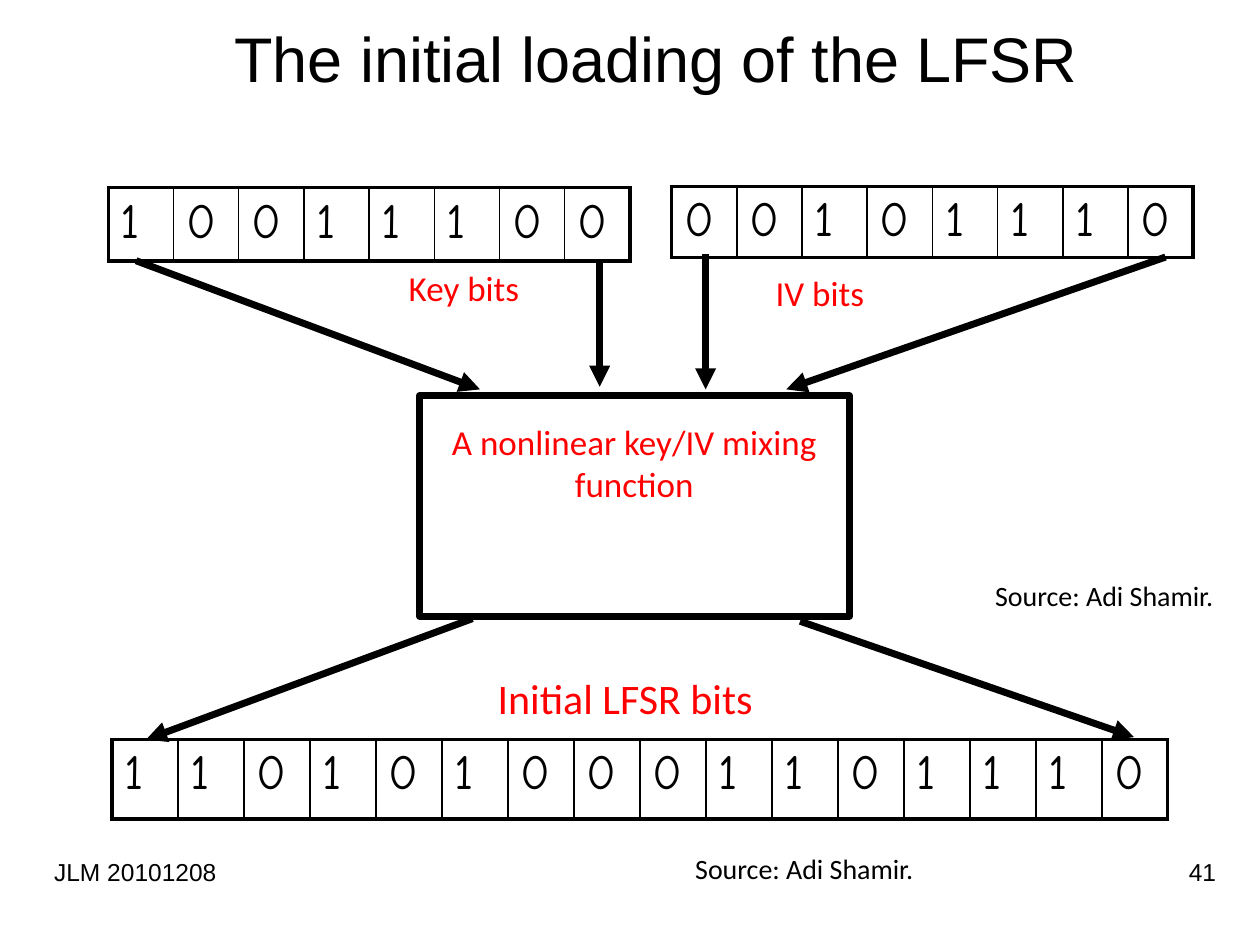
import pptx
import pptx.util
import pptx.dml.color
import pptx.enum.shapes
import pptx.enum.text
import pptx.oxml
import pptx.oxml.ns

Pt = pptx.util.Pt
ALIGN = pptx.enum.text.PP_ALIGN
ANCHOR = pptx.enum.text.MSO_ANCHOR
COLORS = {"ink": "000000", "label": "FF0000"}

TITLE = "The initial loading of the LFSR"
TITLE_BOX = (30, 0, 690, 66)
MIXER_BOX = (239.8, 226.1, 245.5, 126)

REGISTERS = [
    ("10011100", 61.9, 107.3, 298.1, 41.8),
    ("00101110", 383.8, 106.6, 298.1, 40.7),
    ("1101010001101110", 64.1, 422.6, 603.4, 45.4),
]

ARROWS = [
    ((77.8, 149), (274.3, 222.5)),
    ((342.7, 148.3), (342.7, 221)),
    ((403.2, 145.4), (403.2, 222.5)),
    ((666, 146.9), (449.3, 222.5)),
    ((270, 353.5), (83.5, 422.6)),
    ((457.2, 355), (648, 421.2)),
]

BIT_LABELS = [
    ("Key bits", (203.8, 119.5, 134.6, 65.5), 20),
    ("IV bits", (416.9, 122.4, 115.2, 65.5), 20),
    ("Initial LFSR bits", (245.5, 349.2, 235.4, 72.7), 24),
]
LABEL_INSET_RIGHT, LABEL_INSET_BOTTOM = 19, 9

MIXER_LABEL = ("A nonlinear key/IV mixing function", (248.4, 236.9, 228.2, 55.4))

SOURCE = "Source: Adi Shamir."
SOURCE_BOXES = [(561.6, 326.9, 140.4, 26.6), (390.2, 483.1, 140.4, 26.6)]

FOOTERS = [
    ("JLM 20101208", (23.8, 486, 149.8, 36), ALIGN.LEFT),
    ("41", (552.2, 486, 149.8, 36), ALIGN.RIGHT),
]


def rgb(name):
    return pptx.dml.color.RGBColor.from_string(COLORS[name])


def place(box):
    return [Pt(v) for v in box]


def style(p, text, font, size, color="ink", align=ALIGN.LEFT):
    p.text = text
    p.alignment = align
    p.font.name = font
    p.font.size = Pt(size)
    p.font.color.rgb = rgb(color)


def add_text(s, text, box, font, size, color="ink", align=ALIGN.LEFT, wrap=True):
    tf = s.shapes.add_textbox(*place(box)).text_frame
    tf.word_wrap = wrap
    style(tf.paragraphs[0], text, font, size, color, align)
    return tf


def set_borders(cell, widths):
    tc_pr = cell._tc.get_or_add_tcPr()
    for i, (side, width) in enumerate(widths.items()):
        ln = pptx.oxml.parse_xml(
            f'<a:ln{side} {pptx.oxml.ns.nsdecls("a")} w="{Pt(width)}">'
            f'<a:solidFill><a:srgbClr val="{COLORS["ink"]}"/></a:solidFill></a:ln{side}>'
        )
        tc_pr.insert(i, ln)


def add_register(s, bits, left, top, width, height):
    n = len(bits)
    table = s.shapes.add_table(1, n, *place((left, top, width, height))).table
    table.first_row = table.horz_banding = False
    table.rows[0].height = Pt(height)
    for i, bit in enumerate(bits):
        table.columns[i].width = Pt(width / n)
        cell = table.cell(0, i)
        cell.fill.background()
        style(cell.text_frame.paragraphs[0], bit, "Comic Neue", 28)
        set_borders(cell, {
            "L": 2.25 if i == 0 else 1,
            "R": 2.25 if i == n - 1 else 1,
            "T": 2.25,
            "B": 2.25,
        })


def add_arrow(s, start, end):
    line = s.shapes.add_connector(
        pptx.enum.shapes.MSO_CONNECTOR.STRAIGHT, *place(start + end))
    line.line.color.rgb = rgb("ink")
    line.line.width = Pt(4)
    ns = pptx.oxml.ns.nsdecls("a")
    line.line._get_or_add_ln().append(
        pptx.oxml.parse_xml(f'<a:tailEnd {ns} type="triangle"/>'))
    line._element.spPr.append(pptx.oxml.parse_xml(f"<a:effectLst {ns}/>"))


def main():
    prs = pptx.Presentation()
    prs.slide_width, prs.slide_height = Pt(720), Pt(540)
    s = prs.slides.add_slide(prs.slide_layouts[5])

    title = s.shapes.title
    title.left, title.top, title.width, title.height = place(TITLE_BOX)
    title.text_frame.vertical_anchor = ANCHOR.MIDDLE
    style(title.text_frame.paragraphs[0], TITLE, "Arial", 36, align=ALIGN.CENTER)

    mixer = s.shapes.add_shape(
        pptx.enum.shapes.MSO_SHAPE.RECTANGLE, *place(MIXER_BOX))
    mixer.shadow.inherit = False
    mixer.fill.background()
    mixer.line.color.rgb = rgb("ink")
    mixer.line.width = Pt(4)

    for register in REGISTERS:
        add_register(s, *register)
    for start, end in ARROWS:
        add_arrow(s, start, end)

    add_text(s, *MIXER_LABEL, "Calibri", 20, "label", ALIGN.CENTER)
    for text, box, size in BIT_LABELS:
        tf = add_text(s, text, box, "Calibri", size, "label", ALIGN.CENTER)
        tf.vertical_anchor = ANCHOR.BOTTOM
        tf.margin_right = Pt(LABEL_INSET_RIGHT)
        tf.margin_bottom = Pt(LABEL_INSET_BOTTOM)
    for text, box, align in FOOTERS:
        add_text(s, text, box, "Arial", 14, align=align)
    for box in SOURCE_BOXES:
        add_text(s, SOURCE, box, "Calibri", 16, wrap=False)

    prs.save("out.pptx")


if __name__ == "__main__":
    main()
